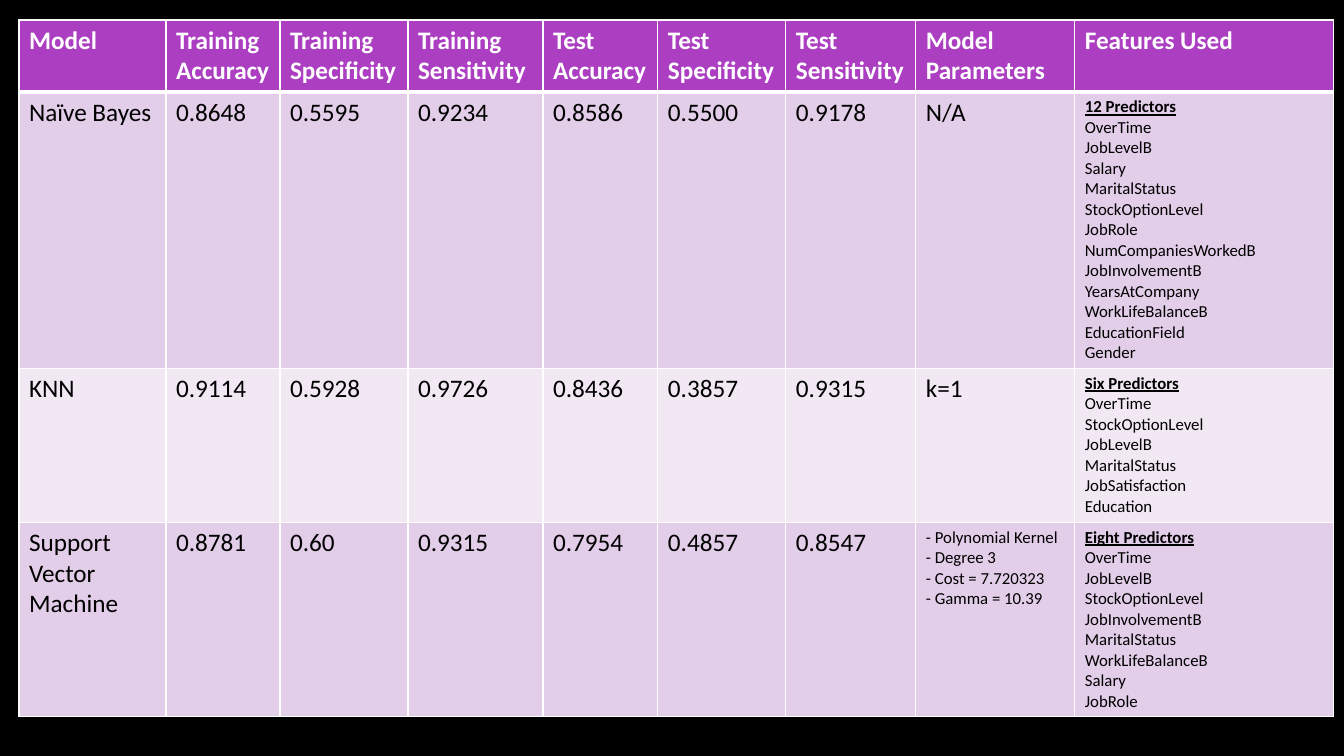
from dataclasses import dataclass

import pptx
import pptx.dml.color
import pptx.oxml
import pptx.oxml.ns
import pptx.table
import pptx.util

EMU_PER_PX = 914400 / 100.8


@dataclass(frozen=True)
class Theme:
    font: str = "Calibri"
    background: str = "000000"
    header_fill: str = "AC3EC1"
    band_fills: tuple[str, str] = ("E3CEE9", "F1E8F4")
    header_text: str = "FFFFFF"
    body_text: str = "000000"
    border: str = "FFFFFF"
    large: int = 18
    small: int = 12
    thin_line: int = 1
    thick_line: int = 3


@dataclass(frozen=True)
class ModelResult:
    name: str
    scores: tuple[str, ...]
    parameters: tuple[str, ...]
    predictor_count: str
    predictors: tuple[str, ...]
    height: int


THEME = Theme()
TABLE_LEFT, TABLE_TOP = 19, 20
COLUMN_WIDTHS = (147, 114, 128, 135, 115, 128, 130, 159, 259)
HEADER_HEIGHT = 72
HEADINGS = (
    "Model",
    *(f"{sample} {measure}" for sample in ("Training", "Test")
      for measure in ("Accuracy", "Specificity", "Sensitivity")),
    "Model Parameters",
    "Features Used",
)
RESULTS = (
    ModelResult(
        "Naïve Bayes",
        ("0.8648", "0.5595", "0.9234", "0.8586", "0.5500", "0.9178"),
        ("N/A",),
        "12 Predictors",
        ("OverTime", "JobLevelB", "Salary", "MaritalStatus", "StockOptionLevel", "JobRole",
         "NumCompaniesWorkedB", "JobInvolvementB", "YearsAtCompany", "WorkLifeBalanceB",
         "EducationField", "Gender"),
        276,
    ),
    ModelResult(
        "KNN",
        ("0.9114", "0.5928", "0.9726", "0.8436", "0.3857", "0.9315"),
        ("k=1",),
        "Six Predictors",
        ("OverTime", "StockOptionLevel", "JobLevelB", "MaritalStatus", "JobSatisfaction",
         "Education"),
        154,
    ),
    ModelResult(
        "Support Vector Machine",
        ("0.8781", "0.60", "0.9315", "0.7954", "0.4857", "0.8547"),
        ("- Polynomial Kernel", "- Degree 3", "- Cost = 7.720323", "- Gamma = 10.39"),
        "Eight Predictors",
        ("OverTime", "JobLevelB", "StockOptionLevel", "JobInvolvementB", "MaritalStatus",
         "WorkLifeBalanceB", "Salary", "JobRole"),
        194,
    ),
)


def px(length: int) -> pptx.util.Emu:
    return pptx.util.Emu(round(length * EMU_PER_PX))


def rgb(colour: str) -> pptx.dml.color.RGBColor:
    return pptx.dml.color.RGBColor.from_string(colour)


def style_cell(cell: pptx.table._Cell, fill: str, top: int, bottom: int) -> None:
    """Draw the borders, then the fill, in the order the cell schema asks for."""
    properties = cell._tc.get_or_add_tcPr()
    widths = {"lnL": THEME.thin_line, "lnR": THEME.thin_line, "lnT": top, "lnB": bottom}
    for side, width in widths.items():
        properties.append(pptx.oxml.parse_xml(
            f'<a:{side} {pptx.oxml.ns.nsdecls("a")} w="{pptx.util.Pt(width)}">'
            f'<a:solidFill><a:srgbClr val="{THEME.border}"/></a:solidFill></a:{side}>'
        ))
    cell.fill.solid()
    cell.fill.fore_color.rgb = rgb(fill)


def write_cell(cell: pptx.table._Cell, lines: tuple[str, ...], size: int, colour: str,
               bold: bool = False) -> None:
    cell.text_frame.text = "\n".join(lines)
    for para in cell.text_frame.paragraphs:
        para.font.name = THEME.font
        para.font.size = pptx.util.Pt(size)
        para.font.bold = bold
        para.font.color.rgb = rgb(colour)


def fill_header(table: pptx.table.Table) -> None:
    table.rows[0].height = px(HEADER_HEIGHT)
    for cell, heading in zip(table.rows[0].cells, HEADINGS):
        style_cell(cell, THEME.header_fill, THEME.thin_line, THEME.thick_line)
        write_cell(cell, (heading,), THEME.large, THEME.header_text, bold=True)


def fill_result(table: pptx.table.Table, index: int, result: ModelResult) -> None:
    row = table.rows[index + 1]
    row.height = px(result.height)
    cells = list(row.cells)
    top = THEME.thick_line if index == 0 else THEME.thin_line
    for cell in cells:
        style_cell(cell, THEME.band_fills[index % 2], top, THEME.thin_line)

    for cell, value in zip(cells, (result.name, *result.scores)):
        write_cell(cell, (value,), THEME.large, THEME.body_text)

    parameter_size = THEME.small if len(result.parameters) > 1 else THEME.large
    write_cell(cells[-2], result.parameters, parameter_size, THEME.body_text)

    write_cell(cells[-1], (result.predictor_count, *result.predictors), THEME.small,
               THEME.body_text)
    count_font = cells[-1].text_frame.paragraphs[0].font
    count_font.bold = True
    count_font.underline = True


def main() -> None:
    deck = pptx.Presentation()
    deck.slide_width, deck.slide_height = px(1344), px(756)
    page = deck.slides.add_slide(deck.slide_layouts[6])
    page.background.fill.solid()
    page.background.fill.fore_color.rgb = rgb(THEME.background)

    height = HEADER_HEIGHT + sum(result.height for result in RESULTS)
    table = page.shapes.add_table(
        len(RESULTS) + 1, len(HEADINGS),
        px(TABLE_LEFT), px(TABLE_TOP), px(sum(COLUMN_WIDTHS)), px(height),
    ).table
    for column, width in zip(table.columns, COLUMN_WIDTHS):
        column.width = px(width)
    fill_header(table)
    for index, result in enumerate(RESULTS):
        fill_result(table, index, result)
    deck.save("out.pptx")


if __name__ == "__main__":
    main()
